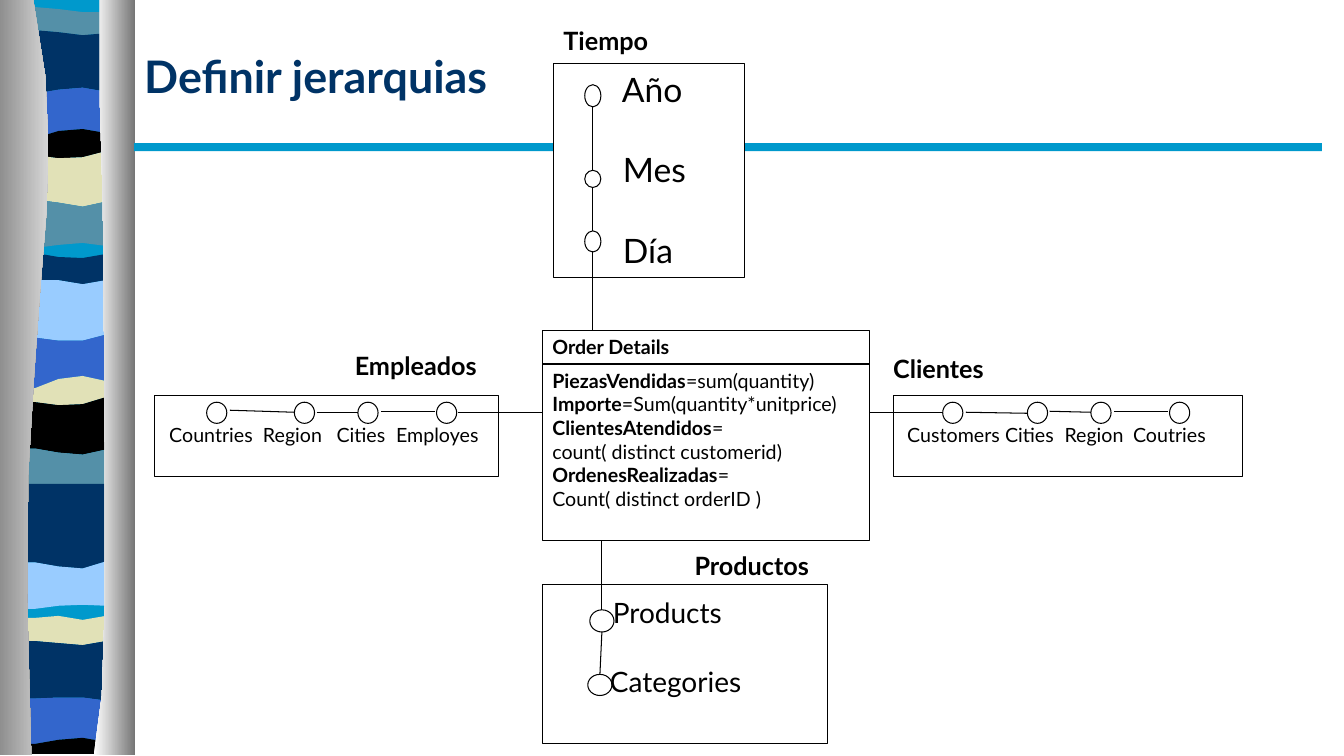
from lxml.etree import SubElement
from pptx import Presentation
from pptx.dml.color import RGBColor
from pptx.enum.shapes import MSO_CONNECTOR, MSO_SHAPE
from pptx.enum.text import MSO_ANCHOR, PP_ALIGN
from pptx.oxml.ns import qn
from pptx.util import Pt

PX = 9144  # EMU per px, 100 px to the inch
FONT = "Lato"
BLACK, WHITE, NAVY, CYAN = "000000", "FFFFFF", "003366", "0099CC"
TEAL, SAND, BLUE, SKY = "5490A8", "E1E1B7", "3366CC", "99CCFF"
SILVER, GREY, PALE = "8F8F8F", "767676", "D6D6D6"

# Stacked bands: colour and height of the top edge at each of BAND_XS;
# every band reaches down to the next edge, and the cyan ones show the backing
BAND_XS = (0, 35, 58, 82, 105, 131)
BANDS = [
    (TEAL, (7, 7, 9, 12, 12, 12)), (NAVY, (30, 30, 32, 35, 33, 33)),
    (BLUE, (93, 93, 89, 87, 91, 91)), (BLACK, (137, 137, 130, 128, 132, 132)),
    (SAND, (154, 154, 157, 156, 150, 150)), (TEAL, (198, 198, 201, 205, 200, 200)),
    (CYAN, (246, 246, 243, 241, 244, 244)), (NAVY, (251, 251, 255, 256, 252, 252)),
    (SKY, (278, 278, 278, 282, 278, 278)), (BLUE, (335, 335, 338, 338, 332, 332)),
    (SAND, (385, 385, 376, 373, 378, 378)), (BLACK, (399, 399, 402, 401, 394, 394)),
    (TEAL, (445, 445, 449, 451, 446, 446)), (NAVY, (480, 480, 480, 480, 480, 480)),
    (SKY, (558, 558, 562, 564, 557, 557)), (CYAN, (604, 604, 601, 600, 601, 601)),
    (SAND, (613, 613, 611, 615, 611, 611)), (NAVY, (636, 636, 638, 640, 636, 636)),
    (BLUE, (693, 693, 692, 692, 695, 695)), (BLACK, (738, 738, 734, 732, 736, 736)),
]
BANDS_END = (748,) * len(BAND_XS)
CURTAINS = [
    ([(0, 0), (33, 0), (45, 76), (48, 144), (46, 212), (40, 286), (34, 370), (28, 471),
      (27, 596), (31, 749), (0, 749)], SILVER, PALE),
    ([(134, 0), (99, 0), (99, 100), (102, 200), (103, 300), (104, 450), (104, 600),
      (101, 690), (93, 749), (134, 749)], WHITE, GREY),
]

MEASURES = [("PiezasVendidas", "=sum(quantity)"), ("Importe", "=Sum(quantity*unitprice)"),
            ("ClientesAtendidos", "="), ("", "count( distinct customerid)"),
            ("OrdenesRealizadas", "="), ("", "Count( distinct orderID )")]
# Vertical hierarchies: box, fill, size, top inset, gap (pt), (level, indent), nodes, links
COLUMNS = [
    ((549, 63, 189, 212), WHITE, 24, 5, 29, [("Año", 58), ("Mes", 59), ("Día", 59)],
     [(580, 84, 16, 22), (580, 169, 16, 17), (580, 229, 16, 21)],
     [(588, 106, 588, 169), (588, 186, 588, 229), (588, 249, 588, 328)]),
    ((538, 580, 283, 158), None, 20, 11, 25, [("Products", 60), ("Categories", 57)],
     [(585, 605, 24, 22), (583, 669, 24, 21)],
     [(597, 627, 595, 669), (597, 536, 597, 605)]),
]
# Horizontal hierarchies: box, fill, levels with tab stops, node lefts, links
ROWS = [
    ((886, 392, 346, 81), None,
     [("Customers", 4), ("Cities", 101), ("Region", 160), ("Coutries", 228)],
     [935, 1019, 1082, 1160],
     [(935, 409, 862, 409), (1019, 410, 958, 409), (1082, 409, 1041, 408),
      (1158, 408, 1105, 408)]),
    ((153, 392, 341, 81), WHITE,
     [("Countries", 5), ("Region", 98), ("Cities", 171), ("Employes", 230)],
     [205, 292, 355, 433],
     [(228, 407, 292, 409), (314, 409, 355, 409), (378, 408, 431, 408),
      (454, 409, 538, 409)]),
]
CAPTIONS = [("Tiempo", 549, 20, 114), ("Clientes", 876, 346, 122),
            ("Productos", 679, 541, 148), ("Empleados", 342, 343, 158)]


def rgb(color):
    return RGBColor.from_string(color)


def emu(*lengths):
    return [n * PX for n in lengths]


def style(sp, fill, line=BLACK):
    sp.shadow.inherit = False
    if fill:
        sp.fill.solid()
        sp.fill.fore_color.rgb = rgb(fill)
    else:
        sp.fill.background()
    if line:
        sp.line.color.rgb = rgb(line)
        sp.line.width = Pt(0.75)
    else:
        sp.line.fill.background()
    return sp


def add_box(kind, box, fill=None, line=BLACK):
    return style(shapes.add_shape(kind, *emu(*box)), fill, line)


def add_link(ends):
    cn = shapes.add_connector(MSO_CONNECTOR.STRAIGHT, *emu(*ends))
    cn.line.color.rgb = rgb(BLACK)
    cn.line.width = Pt(0.75)
    SubElement(cn._element.spPr, qn("a:effectLst"))


def add_outline(points, fill):
    fb = shapes.build_freeform(*points[0], scale=PX)
    fb.add_line_segments(points[1:])
    return style(fb.convert_to_shape(), fill, None)


def write(sp, paragraphs, size, bold=False, color=BLACK, top=5, anchor=MSO_ANCHOR.TOP):
    """Fill a shape with paragraphs, each a list of (text, bold) runs or one string."""
    tf = sp.text_frame
    tf.word_wrap = True
    tf.vertical_anchor = anchor
    tf.margin_left, tf.margin_right, tf.margin_top, tf.margin_bottom = emu(10, 10, top, 5)
    for i, runs in enumerate(paragraphs):
        p = tf.add_paragraph() if i else tf.paragraphs[0]
        p.alignment = PP_ALIGN.LEFT
        p.font.name, p.font.size, p.font.bold = FONT, Pt(size), bold
        p.font.color.rgb = rgb(color)
        for text, strong in [(runs, bold)] if isinstance(runs, str) else runs:
            if text:
                r = p.add_run()
                r.text = text
                if strong != bold:
                    r.font.bold = strong
    return tf.paragraphs


prs = Presentation()
prs.slide_width, prs.slide_height = emu(1333, 750)
s = prs.slides.add_slide(prs.slide_layouts[5])
shapes = s.shapes

add_box(MSO_SHAPE.RECTANGLE, (0, 0, 131, 747), CYAN, None)
next_edges = [edge for _, edge in BANDS[1:]] + [BANDS_END]
for (color, edge), next_edge in zip(BANDS, next_edges):
    if color != CYAN:
        upper, lower = list(zip(BAND_XS, edge)), list(zip(BAND_XS, next_edge))
        add_outline(upper + lower[::-1], color)
for points, start, end in CURTAINS:
    fill = add_outline(points, WHITE).fill
    fill.gradient()
    fill.gradient_angle = 0
    for stop, color, position in zip(fill.gradient_stops, (start, end), (0, 1)):
        stop.color.rgb, stop.position = rgb(color), position

add_box(MSO_SHAPE.RECTANGLE, (133, 142, 1178, 8), CYAN, None)
title = shapes.title
title.left, title.top, title.width, title.height = emu(133, 12, 1171, 125)
write(title, ["Definir jerarquias"], 32, True, NAVY, anchor=MSO_ANCHOR.MIDDLE)

write(add_box(MSO_SHAPE.RECTANGLE, (538, 328, 324, 34)), ["Order Details"], 14, True, top=4)
write(add_box(MSO_SHAPE.RECTANGLE, (538, 361, 324, 175)),
      [[(name, True), (formula, False)] for name, formula in MEASURES], 14)

for box, fill, size, inset, gap, levels, nodes, links in COLUMNS:
    sp = add_box(MSO_SHAPE.RECTANGLE, box, fill)
    for i, p in enumerate(write(sp, [name for name, _ in levels], size, top=inset)):
        p.space_before = Pt(gap if i else 0)
        p._p.get_or_add_pPr().set("marL", str(levels[i][1] * PX))
    for node in nodes:
        add_box(MSO_SHAPE.OVAL, node, fill)
    for link in links:
        add_link(link)

for box, fill, levels, nodes, links in ROWS:
    sp = add_box(MSO_SHAPE.RECTANGLE, box, fill)
    p = write(sp, ["".join("\t" + name for name, _ in levels)], 14, top=28)[0]
    tabs = p._p.get_or_add_pPr().makeelement(qn("a:tabLst"), {})
    for _, stop in levels:
        SubElement(tabs, qn("a:tab"), pos=str(stop * PX), algn="l")
    p._p.pPr.insert_element_before(tabs, "a:defRPr", "a:extLst")
    for i, x in enumerate(nodes):
        add_box(MSO_SHAPE.OVAL, (x, 399, 20, 21), None if i else WHITE)
    for link in links:
        add_link(link)

for text, x, y, w in CAPTIONS:
    write(shapes.add_textbox(*emu(x, y, w, 40)), [text], 18, True)

prs.save("out.pptx")
